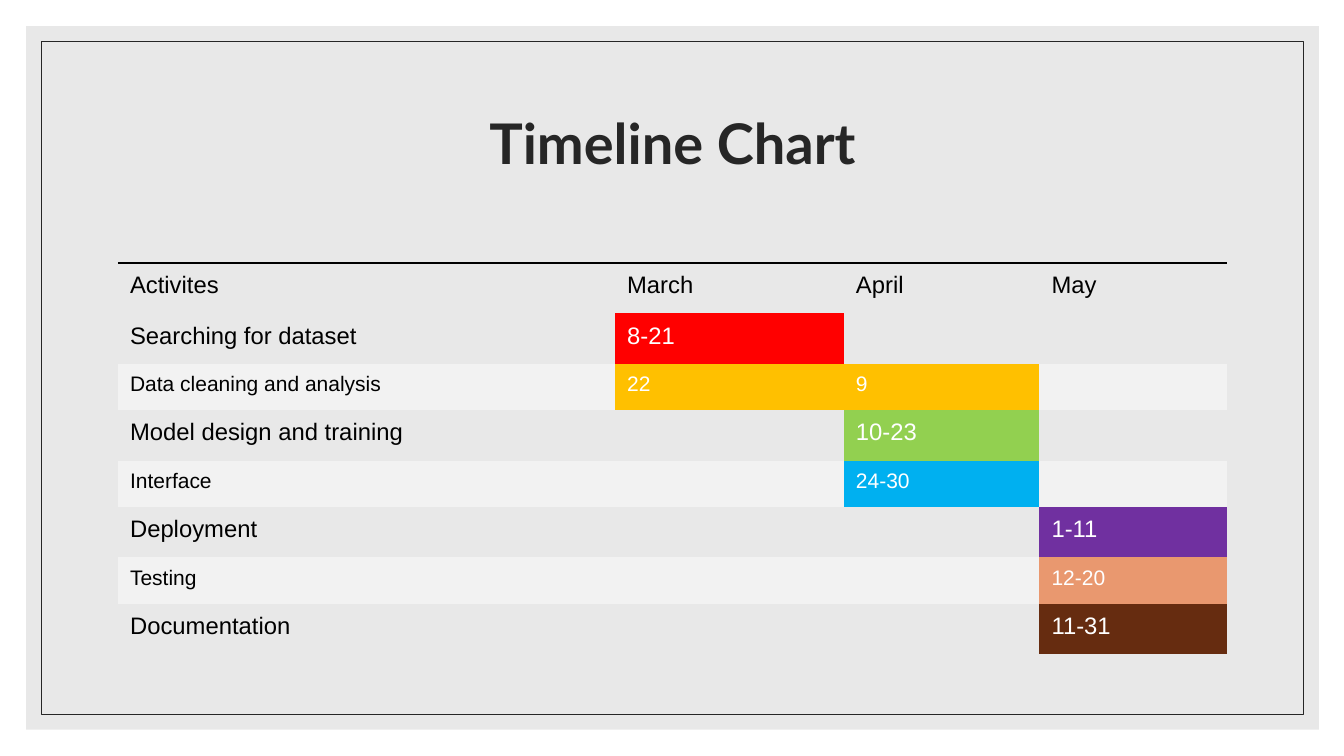
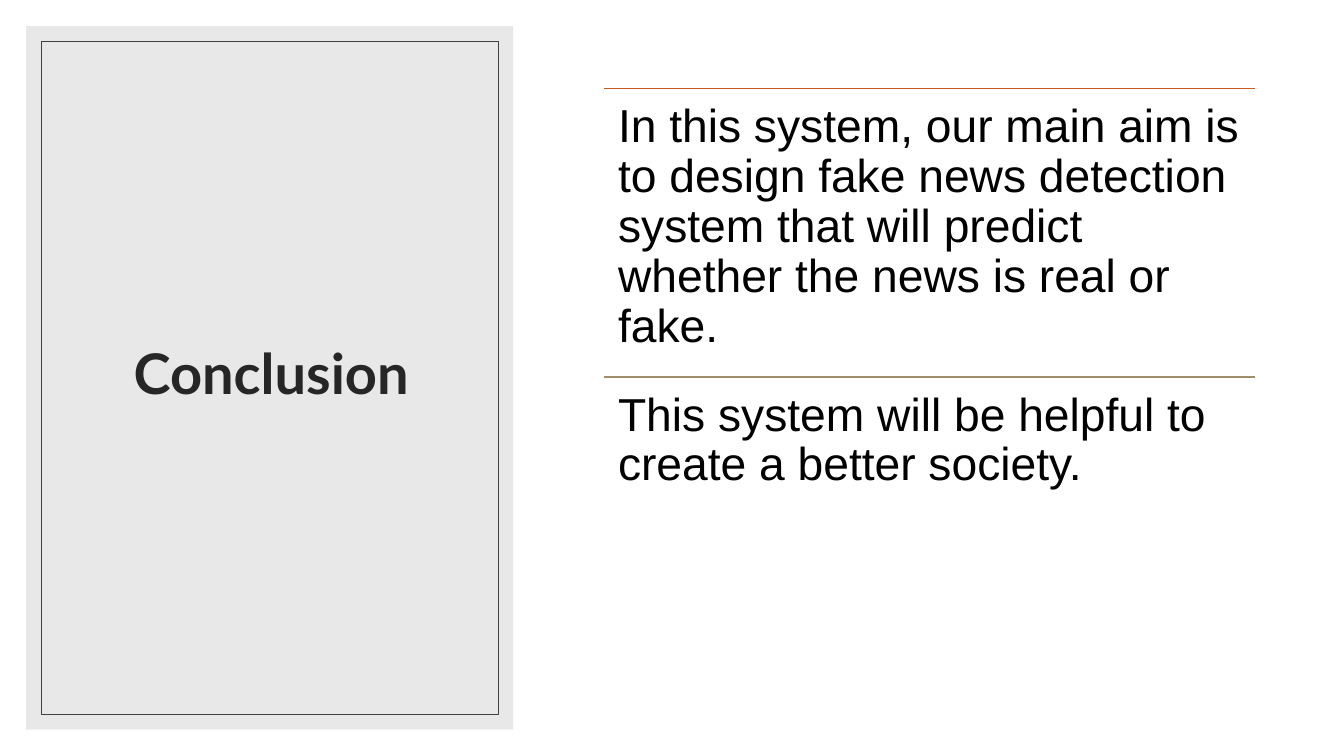
from dataclasses import dataclass

from lxml.etree import SubElement
from pptx import Presentation
from pptx.dml.color import RGBColor
from pptx.enum.shapes import MSO_CONNECTOR, MSO_SHAPE
from pptx.enum.text import MSO_ANCHOR, MSO_AUTO_SIZE, PP_ALIGN
from pptx.oxml import parse_xml
from pptx.oxml.ns import nsdecls, qn
from pptx.slide import Slide
from pptx.table import Table, _Cell
from pptx.text.text import _Paragraph
from pptx.util import Inches, Pt

BLACK = RGBColor(0x00, 0x00, 0x00)
WHITE = RGBColor(0xFF, 0xFF, 0xFF)
INK = RGBColor(0x26, 0x26, 0x26)
SLATE = RGBColor(0x40, 0x40, 0x40)
PANEL = RGBColor(0xD9, 0xD9, 0xD9)
BAND = RGBColor(0xF2, 0xF2, 0xF2)
RED = RGBColor(0xFF, 0x00, 0x00)
AMBER = RGBColor(0xFF, 0xC0, 0x00)
GREEN = RGBColor(0x92, 0xD0, 0x50)
BLUE = RGBColor(0x00, 0xB0, 0xF0)
PURPLE = RGBColor(0x70, 0x30, 0xA0)
PEACH = RGBColor(0xE9, 0x98, 0x6F)
BROWN = RGBColor(0x66, 0x2C, 0x10)
RUST = RGBColor(0xCB, 0x58, 0x1F)
KHAKI = RGBColor(0xA2, 0x8E, 0x6A)

HEAD_FONT, BODY_FONT = "Lato", "Arial"
PLAIN_STYLE = "{2D5ABB26-0587-4C30-8999-92F81FD0307C}"
EDGE, INSET = 0.26, 0.15
PANEL_HIGH = 6.98


@dataclass(frozen=True)
class Box:
    left: float
    top: float
    width: float
    height: float

    def place(self) -> tuple[Inches, Inches, Inches, Inches]:
        return (Inches(self.left), Inches(self.top),
                Inches(self.width), Inches(self.height))


@dataclass(frozen=True)
class Task:
    name: str
    color: RGBColor
    dates: tuple[str, str, str]


@dataclass(frozen=True)
class Point:
    text: str
    color: RGBColor


MONTHS = ("Activites", "March", "April", "May")
TASKS = (
    Task("Searching for dataset", RED, ("8-21", "", "")),
    Task("Data cleaning and analysis", AMBER, ("22", "9", "")),
    Task("Model design and training", GREEN, ("", "10-23", "")),
    Task("Interface", BLUE, ("", "24-30", "")),
    Task("Deployment", PURPLE, ("", "", "1-11")),
    Task("Testing", PEACH, ("", "", "12-20")),
    Task("Documentation", BROWN, ("", "", "11-31")),
)
COLUMNS = (4.93, 2.27, 1.94, 1.86)
POINTS = (
    Point("In this system, our main aim is to design fake news detection "
          "system that will predict whether the news is real or fake.", RUST),
    Point("This system will be helpful to create a better society.", KHAKI),
)


def style(para: _Paragraph, font: str, size: float, color: RGBColor,
          bold: bool = False) -> None:
    for run in para.runs:
        run.font.name = font
        run.font.size = Pt(size)
        run.font.color.rgb = color
        run.font.bold = bold


def add_panel(slide: Slide, width: float, color: RGBColor) -> None:
    """Draw the translucent panel and the thin frame inside it."""
    outer = Box(EDGE, EDGE, width, PANEL_HIGH)
    inner = Box(EDGE + INSET, EDGE + INSET,
                width - 2 * INSET, PANEL_HIGH - 2 * INSET)
    panel, frame = (slide.shapes.add_shape(MSO_SHAPE.RECTANGLE, *box.place())
                    for box in (outer, inner))
    panel.shadow.inherit = frame.shadow.inherit = False
    panel.fill.solid()
    panel.fill.fore_color.rgb = PANEL
    tint = panel.fill._xPr.find(".//" + qn("a:srgbClr"))
    SubElement(tint, qn("a:alpha"), val="60000")
    panel.line.fill.background()
    frame.fill.background()
    frame.line.color.rgb = color
    frame.line.width = Pt(0.5)


def add_slide(deck: Presentation, title: str, box: Box, width: float,
              color: RGBColor) -> Slide:
    """Add a slide with its panel and, in front of it, its title."""
    slide = deck.slides.add_slide(deck.slide_layouts[5])
    add_panel(slide, width, color)
    head = slide.shapes.title
    slide.shapes._spTree.append(head._element)
    head.left, head.top, head.width, head.height = box.place()
    frame = head.text_frame
    frame.text = title
    frame.auto_size = MSO_AUTO_SIZE.NONE
    frame.vertical_anchor = MSO_ANCHOR.MIDDLE
    para = frame.paragraphs[0]
    para.alignment = PP_ALIGN.CENTER
    para.line_spacing = 0.9
    style(para, HEAD_FONT, 40, INK, bold=True)
    return slide


def fill_cell(cell: _Cell, text: str, size: float, color: RGBColor,
              back: RGBColor | None) -> None:
    if back is None:
        cell.fill.background()
    else:
        cell.fill.solid()
        cell.fill.fore_color.rgb = back
    if text:
        cell.margin_left = cell.margin_right = Inches(0.12)
        cell.margin_top = cell.margin_bottom = Inches(0.09)
        cell.text_frame.text = text
        style(cell.text_frame.paragraphs[0], BODY_FONT, size, color)


def rule_top(cell: _Cell) -> None:
    line = parse_xml(
        f'<a:lnT {nsdecls("a")} w="{Pt(2.25)}"><a:solidFill>'
        f'<a:srgbClr val="{BLACK}"/></a:solidFill></a:lnT>')
    cell._tc.get_or_add_tcPr().insert(0, line)


def add_grid(slide: Slide, box: Box) -> Table:
    table = slide.shapes.add_table(
        len(TASKS) + 1, len(MONTHS), *box.place()).table
    table.first_row = table.horz_banding = False
    table._tbl.tblPr.find(qn("a:tableStyleId")).text = PLAIN_STYLE
    for column, width in zip(table.columns, COLUMNS):
        column.width = Inches(width)
    return table


def build_timeline(deck: Presentation) -> None:
    slide = add_slide(deck, "Timeline Chart", Box(1.17, 0.7, 11, 1.5),
                      12.82, INK)
    table = add_grid(slide, Box(1.17, 2.61, 11, 3.9))
    table.rows[0].height = Inches(0.5)
    for cell, month in zip(table.rows[0].cells, MONTHS):
        fill_cell(cell, month, 17, BLACK, None)
        rule_top(cell)
    for index, task in enumerate(TASKS, 1):
        banded = index % 2 == 0
        size, back = (15, BAND) if banded else (17, None)
        row = table.rows[index]
        row.height = Inches(0.46 if banded else 0.5)
        name, *days = row.cells
        fill_cell(name, task.name, size, BLACK, back)
        for cell, date in zip(days, task.dates):
            fill_cell(cell, date, size, WHITE, task.color if date else back)


def add_point(slide: Slide, point: Point, box: Box) -> None:
    """Draw a coloured rule with the point's text below it."""
    left, top, width, _ = box.place()
    line = slide.shapes.add_connector(
        MSO_CONNECTOR.STRAIGHT, left, top, left + width, top)
    line.line.color.rgb = point.color
    line.line.width = Pt(1)
    SubElement(line._element.spPr, qn("a:effectLst"))
    frame = slide.shapes.add_textbox(*box.place()).text_frame
    frame.word_wrap = True
    frame.margin_left = frame.margin_right = Inches(0.14)
    frame.margin_top = frame.margin_bottom = Inches(0.14)
    frame.text = point.text
    para = frame.paragraphs[0]
    para.line_spacing = 0.9
    style(para, BODY_FONT, 33, BLACK)


def build_ending(deck: Presentation) -> None:
    slide = add_slide(deck, "Conclusion", Box(0.63, 0.61, 4.12, 6.24),
                      4.83, SLATE)
    high = 2.86
    for index, point in enumerate(POINTS):
        add_point(slide, point, Box(5.99, 0.88 + index * high, 6.46, high))


def main() -> None:
    deck = Presentation()
    deck.slide_width, deck.slide_height = Inches(13.33), Inches(7.5)
    build_timeline(deck)
    build_ending(deck)
    deck.save("out.pptx")


if __name__ == "__main__":
    main()
